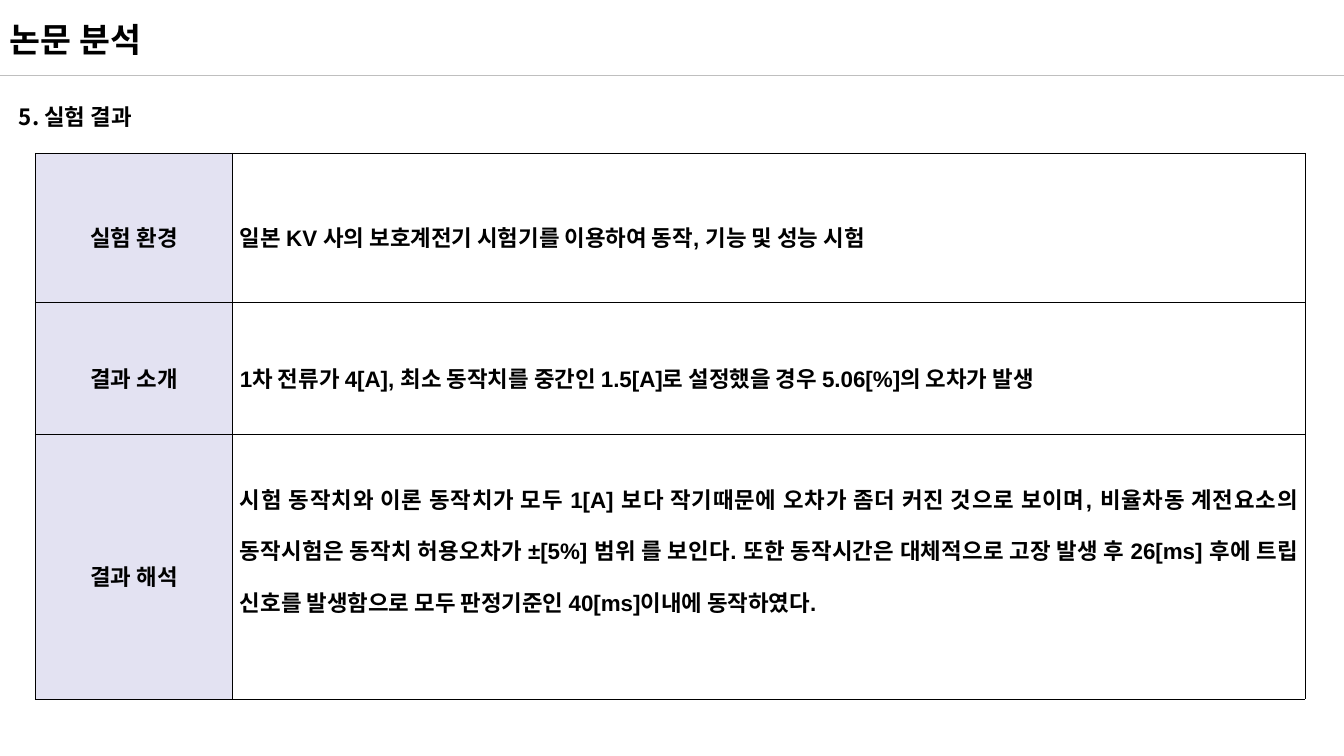
import pptx
import pptx.util
import pptx.dml.color
import pptx.enum.shapes
import pptx.enum.text
import pptx.oxml.ns
import lxml.etree

PX = 914400 / 100.8
COLORS = {"text": "000000", "rule": "BFBFBF", "border": "000000", "label": "E3E2F2"}
LATIN = "Arial"
KOREAN = "Noto Sans CJK KR"
ALIGN = pptx.enum.text.PP_ALIGN
ROWS = [
    (149, 2, "실험 환경", "일본 KV 사의 보호계전기 시험기를 이용하여 동작, 기능 및 성능 시험"),
    (132, 2, "결과 소개",
     "1차 전류가 4[A], 최소 동작치를 중간인 1.5[A]로 설정했을 경우 5.06[%]의 오차가 발생"),
    (265, 54, "결과 해석",
     "시험 동작치와 이론 동작치가 모두 1[A] 보다 작기때문에 오차가 좀더 커진 것으로 보이며, "
     "비율차동 계전요소의 동작시험은 동작치 허용오차가 ±[5%] 범위 를 보인다. "
     "또한 동작시간은 대체적으로 고장 발생 후 26[ms] 후에 트립 신호를 발생함으로 "
     "모두 판정기준인 40[ms]이내에 동작하였다."),
]


def px(n):
    return pptx.util.Emu(round(n * PX))


def rgb(name):
    return pptx.dml.color.RGBColor.from_string(COLORS[name])


def add_xml(parent, tag, **attrs):
    return lxml.etree.SubElement(parent, pptx.oxml.ns.qn(tag), attrs)


def write(tf, text, size, font, spacing=1.0, align=ALIGN.LEFT):
    tf.text = text
    p = tf.paragraphs[0]
    p.alignment = align
    p.line_spacing = spacing
    r = p.runs[0]
    r.font.size = pptx.util.Pt(size)
    r.font.bold = True
    r.font.name = font
    r.font.color.rgb = rgb("text")
    r.font._element.set("kern", "0")
    add_xml(r.font._element, "a:ea", typeface=KOREAN)


def add_text(s, box, text, size, spacing=1.0):
    tf = s.shapes.add_textbox(*map(px, box)).text_frame
    tf.word_wrap = True
    write(tf, text, size, KOREAN, spacing)


def add_rule(s, y, width):
    line = s.shapes.add_connector(
        pptx.enum.shapes.MSO_CONNECTOR.STRAIGHT, 0, px(y), width, px(y))
    line.line.color.rgb = rgb("rule")
    line.line.width = pptx.util.Pt(0.5)
    add_xml(line._element.spPr, "a:effectLst")


def add_borders(cell):
    tcPr = cell._tc.get_or_add_tcPr()
    for i, side in enumerate(("lnL", "lnR", "lnT", "lnB")):
        ln = lxml.etree.Element(
            pptx.oxml.ns.qn("a:" + side), w=str(pptx.util.Pt(0.28)))
        fill = add_xml(ln, "a:solidFill")
        add_xml(fill, "a:srgbClr", val=COLORS["border"])
        tcPr.insert(i, ln)


def fill_cell(cell, text, align, color=None, bottom=2):
    cell.margin_left, cell.margin_right = px(8), px(7)
    cell.margin_top, cell.margin_bottom = px(2), px(bottom)
    cell.vertical_anchor = pptx.enum.text.MSO_ANCHOR.MIDDLE
    if color:
        cell.fill.solid()
        cell.fill.fore_color.rgb = rgb(color)
    else:
        cell.fill.background()
    add_borders(cell)
    write(cell.text_frame, text, 16, LATIN, 1.6, align)


def add_results(s, left, top, widths):
    height = sum(row[0] for row in ROWS)
    table = s.shapes.add_table(
        len(ROWS), len(widths), px(left), px(top), px(sum(widths)), px(height)).table
    table.first_row = table.horz_banding = False
    for column, width in zip(table.columns, widths):
        column.width = px(width)
    for i, (row_height, bottom, label, body) in enumerate(ROWS):
        table.rows[i].height = px(row_height)
        fill_cell(table.cell(i, 0), label, ALIGN.CENTER, "label")
        fill_cell(table.cell(i, 1), body, ALIGN.JUSTIFY, bottom=bottom)


def main():
    prs = pptx.Presentation()
    prs.slide_width, prs.slide_height = px(1344), px(756)
    s = prs.slides.add_slide(prs.slide_layouts[6])
    add_rule(s, 75, prs.slide_width)
    add_text(s, (0, 14, 1294, 50), "논문 분석", 24)
    add_text(s, (9, 85, 1295, 92), "5. 실험 결과", 16, 1.5)
    add_results(s, 35, 153, (197, 1073))
    prs.save("out.pptx")


main()
